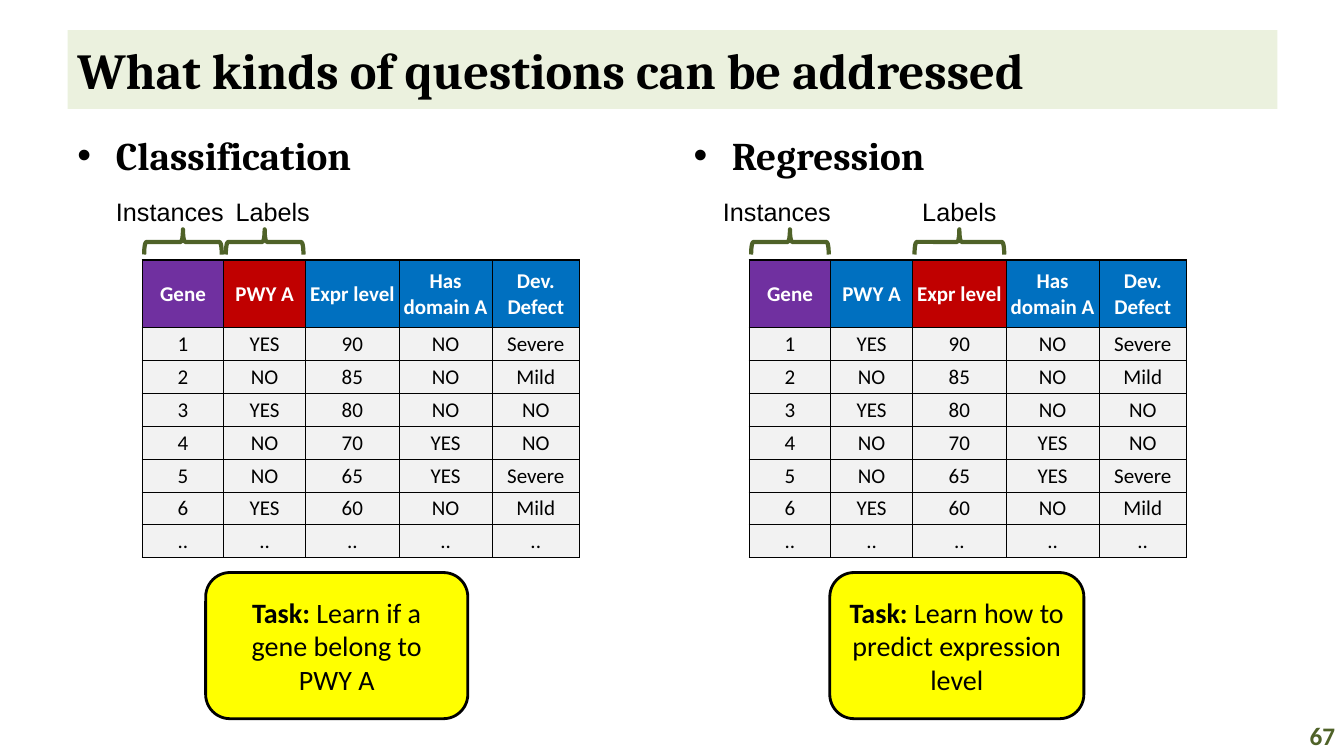
from lxml import etree
from pptx import Presentation, util as u
from pptx.dml.color import RGBColor
from pptx.enum import shapes, text
from pptx.oxml import ns

Inches, Pt = u.Inches, u.Pt
COLORS = {
    "title": "EBF1DE", "green": "4F6228", "black": "000000", "white": "FFFFFF",
    "instance": "7030A0", "label": "C00000", "feature": "0070C0",
    "body": "F2F2F2", "task": "FFFF00",
}
COLUMN_WIDTHS = [0.81, 0.81, 0.93, 0.92, 0.87]
HEADER_HEIGHT, ROW_HEIGHT = 0.67, 0.326
GENES = [
    ["Gene", "PWY A", "Expr level", "Has domain A", "Dev. Defect"],
    ["1", "YES", "90", "NO", "Severe"],
    ["2", "NO", "85", "NO", "Mild"],
    ["3", "YES", "80", "NO", "NO"],
    ["4", "NO", "70", "YES", "NO"],
    ["5", "NO", "65", "YES", "Severe"],
    ["6", "YES", "60", "NO", "Mild"],
    [".."] * 5,
]
PANELS = [
    {"heading": "Classification", "left": 0.67, "table_left": 1.41,
     "label_column": 1, "label_shift": 0.08, "instance_shift": -0.13,
     "task": " Learn if a gene belong to PWY A", "task_box": (2.04, 5.68, 2.6, 1.45)},
    {"heading": "Regression", "left": 6.78, "table_left": 7.43,
     "label_column": 2, "label_shift": 0, "instance_shift": -0.13,
     "task": " Learn how to predict expression level", "task_box": (8.23, 5.68, 2.52, 1.45)},
]


def rgb(name):
    return RGBColor.from_string(COLORS[name])


def set_attributes(target, values):
    for name, value in values.items():
        setattr(target, name, value)


def write(frame, runs, font, size, color="black", align=text.PP_ALIGN.LEFT,
          anchor=text.MSO_ANCHOR.MIDDLE, wrap=True):
    """Fill the first paragraph with (words, bold) runs."""
    set_attributes(frame, {"word_wrap": wrap, "vertical_anchor": anchor})
    paragraph = frame.paragraphs[0]
    paragraph.alignment = align
    for words, bold in runs:
        run = paragraph.add_run()
        run.text = words
        set_attributes(run.font, {"name": font, "size": Pt(size), "bold": bold})
        run.font.color.rgb = rgb(color)
    return paragraph


def add_shape(slide, kind, box, fill=None, line=None, width=0):
    shape = slide.shapes.add_shape(kind, *map(Inches, box))
    shape.shadow.inherit = False
    if fill:
        shape.fill.solid()
        shape.fill.fore_color.rgb = rgb(fill)
    else:
        shape.fill.background()
    if line:
        shape.line.color.rgb = rgb(line)
        shape.line.width = Pt(width)
    else:
        shape.line.fill.background()
    return shape


def add_text(slide, box, runs, font, size, **options):
    frame = slide.shapes.add_textbox(*map(Inches, box)).text_frame
    return write(frame, runs, font, size, **options)


def add_title(slide, box, words):
    shape = add_shape(slide, shapes.MSO_SHAPE.RECTANGLE, box, "title")
    write(shape.text_frame, [(words, True)], "Cambria", 36)


def add_heading(slide, box, words):
    paragraph = add_text(slide, box, [(words, True)], "Cambria", 28,
                         anchor=text.MSO_ANCHOR.TOP)
    properties = paragraph._p.get_or_add_pPr()
    properties.set("marL", str(Inches(0.38)))
    properties.set("indent", str(Inches(-0.38)))
    etree.SubElement(properties, ns.qn("a:buFont"), typeface="Arial")
    etree.SubElement(properties, ns.qn("a:buChar"), char="•")


def set_borders(cell, row, column):
    """Thick edges surround the header and the first two columns."""
    thick_verticals, thick_horizontals = (0, 1, 2, len(COLUMN_WIDTHS)), (0, 1)
    edges = {
        "L": column in thick_verticals, "R": column + 1 in thick_verticals,
        "T": row in thick_horizontals, "B": row + 1 in thick_horizontals,
    }
    properties = cell._tc.get_or_add_tcPr()
    for side, thick in edges.items():
        line = etree.SubElement(properties, ns.qn(f"a:ln{side}"),
                                w=str(Pt(1 if thick else 0.5)))
        fill = etree.SubElement(line, ns.qn("a:solidFill"))
        etree.SubElement(fill, ns.qn("a:srgbClr"), val=COLORS["black"])


def add_gene_table(slide, left, top, label_column):
    height = HEADER_HEIGHT + ROW_HEIGHT * (len(GENES) - 1)
    box = (left, top, sum(COLUMN_WIDTHS), height)
    table = slide.shapes.add_table(len(GENES), len(COLUMN_WIDTHS),
                                   *map(Inches, box)).table
    for column, width in zip(table.columns, COLUMN_WIDTHS):
        column.width = Inches(width)
    for i, values in enumerate(GENES):
        table.rows[i].height = Inches(ROW_HEIGHT if i else HEADER_HEIGHT)
        for j, value in enumerate(values):
            cell = table.cell(i, j)
            set_attributes(cell, {
                "margin_left": Inches(0.01), "margin_right": Inches(0.01),
                "margin_top": Inches(0.01), "margin_bottom": 0,
                "vertical_anchor": text.MSO_ANCHOR.MIDDLE,
            })
            set_borders(cell, i, j)
            header_fill = {0: "instance", label_column: "label"}.get(j, "feature")
            cell.fill.solid()
            cell.fill.fore_color.rgb = rgb("body" if i else header_fill)
            paragraph = cell.text_frame.paragraphs[0]
            paragraph.alignment = text.PP_ALIGN.CENTER
            run = paragraph.add_run()
            run.text = value
            set_attributes(run.font, {"name": "Calibri", "size": Pt(15), "bold": i == 0})
            run.font.color.rgb = rgb("black" if i else "white")


def add_column_brace(slide, table_left, column, words, words_width, shift):
    """Mark a table column with an upward brace and a caption above it."""
    center = table_left + sum(COLUMN_WIDTHS[:column]) + COLUMN_WIDTHS[column] / 2
    depth, length = 0.25, COLUMN_WIDTHS[column] - 0.04
    box = (center - depth / 2, 2.4 - length / 2, depth, length)
    brace = add_shape(slide, shapes.MSO_SHAPE.RIGHT_BRACE, box, line="green", width=3)
    brace.rotation = 270
    caption_box = (center + shift - words_width / 2, 1.9, words_width, 0.4)
    add_text(slide, caption_box, [(words, False)], "Arial", 18, wrap=False,
             align=text.PP_ALIGN.CENTER, anchor=text.MSO_ANCHOR.TOP)


def add_task(slide, box, words):
    shape = add_shape(slide, shapes.MSO_SHAPE.ROUNDED_RECTANGLE, box, "task", "black", 2)
    write(shape.text_frame, [("Task:", True), (words, False)], "Calibri", 20,
          align=text.PP_ALIGN.CENTER)


def add_panel(slide, panel):
    table_left, label_column = panel["table_left"], panel["label_column"]
    add_heading(slide, (panel["left"], 1.25, 5.89, 5.85), panel["heading"])
    add_gene_table(slide, table_left, 2.58, label_column)
    add_column_brace(slide, table_left, label_column, "Labels", 0.95, panel["label_shift"])
    add_column_brace(slide, table_left, 0, "Instances", 1.28, panel["instance_shift"])
    add_task(slide, panel["task_box"], panel["task"])


def main():
    presentation = Presentation()
    set_attributes(presentation, {"slide_width": Inches(13.33), "slide_height": Inches(7.5)})
    slide = presentation.slides.add_slide(presentation.slide_layouts[6])
    add_title(slide, (0.67, 0.3, 12, 0.78), "What kinds of questions can be addressed")
    for panel in PANELS:
        add_panel(slide, panel)
    add_text(slide, (12.67, 7.1, 0.67, 0.4), [("67", True)], "Calibri", 18,
             color="green", align=text.PP_ALIGN.RIGHT)
    presentation.save("out.pptx")


if __name__ == "__main__":
    main()
